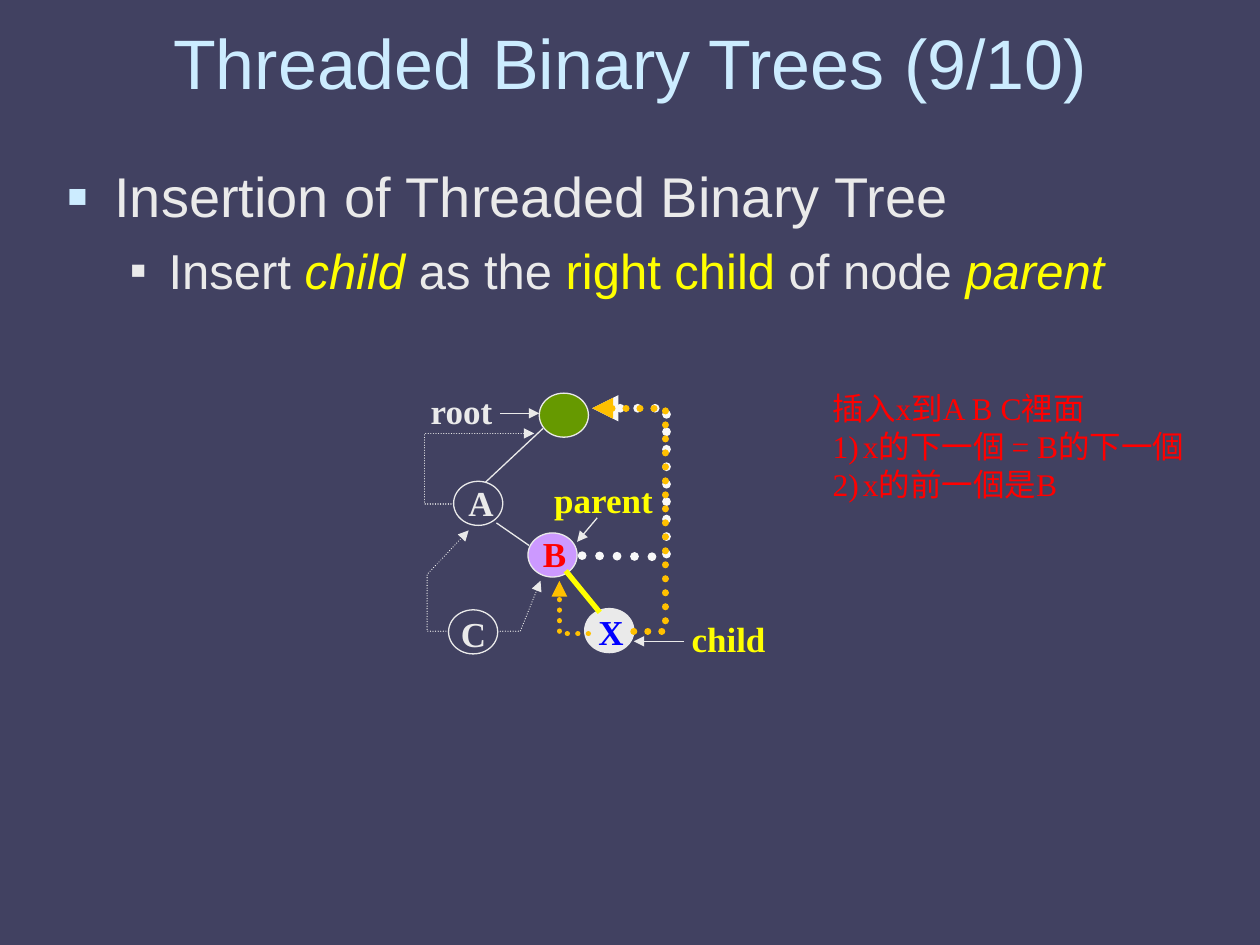
from lxml import etree
from pptx import Presentation
from pptx.dml.color import RGBColor
from pptx.enum.shapes import MSO_CONNECTOR as CONN, MSO_SHAPE as SHAPE
from pptx.enum.text import MSO_ANCHOR as ANCHOR, PP_ALIGN as ALIGN
from pptx.oxml.ns import qn
from pptx.util import Inches, Pt

LIGHT, YELLOW, ORANGE, RED = "EAEAEA", "FFFF00", "FFC000", "FF0000"
SERIF = "Times New Roman"
rgb = RGBColor.from_string


def style_line(sp, color, width, arrow=False, dotted=False):
    sp.line.color.rgb = rgb(color)
    sp.line.width = Pt(width)
    ln = sp.line._get_or_add_ln()
    if dotted:
        ln.set("cap", "rnd")
        etree.SubElement(ln, qn("a:prstDash"), val="sysDot")
        etree.SubElement(ln, qn("a:round"))
    if arrow:
        etree.SubElement(ln, qn("a:tailEnd"), type="triangle")


def style_run(r, size, color, name="Arial", bold=False, italic=False):
    r.font.size, r.font.name = Pt(size), name
    r.font.bold, r.font.italic = bold, italic
    r.font.color.rgb = rgb(color)


prs = Presentation()
prs.slide_width, prs.slide_height = Inches(10), Inches(7.5)
slide = prs.slides.add_slide(prs.slide_layouts[5])
slide.background.fill.solid()
slide.background.fill.fore_color.rgb = rgb("414161")
shapes = slide.shapes

# Title
title = shapes.title
title.left, title.top = Inches(0.5), Inches(0.13)
title.width, title.height = Inches(9), Inches(0.71)
tf = title.text_frame
tf.text = "Threaded Binary Trees (9/10)"
tf.vertical_anchor = ANCHOR.MIDDLE
tf.paragraphs[0].alignment = ALIGN.CENTER
style_run(tf.paragraphs[0].runs[0], 40, "CCECFF")

# Bulleted text: size, space before, margin, hanging, bullet colour, bullet %, runs
bullets = [
    (32, 8, 0.38, 0.38, "CCECFF", 115,
     [("Insertion of Threaded Binary Tree", LIGHT, False)]),
    (28, 7, 0.81, 0.31, LIGHT, 100,
     [("Insert ", LIGHT, False), ("child ", YELLOW, True),
      ("as the ", LIGHT, False), ("right child ", YELLOW, False),
      ("of node ", LIGHT, False), ("parent", YELLOW, True)]),
]
body = shapes.add_textbox(Inches(0.43), Inches(1.23), Inches(8.98), Inches(1.42))
tf = body.text_frame
tf.word_wrap = True
for i, (size, before, margin, hang, color, percent, runs) in enumerate(bullets):
    p = tf.add_paragraph() if i else tf.paragraphs[0]
    p.space_before = Pt(before)
    p.level = i
    pPr = p._p.get_or_add_pPr()
    pPr.set("marL", str(Inches(margin)))
    pPr.set("indent", str(-Inches(hang)))
    bu_clr = etree.SubElement(pPr, qn("a:buClr"))
    etree.SubElement(bu_clr, qn("a:srgbClr"), val=color)
    etree.SubElement(pPr, qn("a:buSzPct"), val=str(percent * 1000))
    etree.SubElement(pPr, qn("a:buFont"), typeface="Arial")
    etree.SubElement(pPr, qn("a:buChar"), char="▪")
    for text, run_color, italic in runs:
        r = p.add_run()
        r.text = text
        style_run(r, size, run_color, italic=italic)

# Tree nodes: left, top, fill
nodes = [
    (4.64, 4.83, LIGHT),     # X
    (4.28, 3.12, "669900"),  # root
    (3.6, 3.82, None),       # A
    (4.19, 4.23, "CC99FF"),  # B
    (3.56, 4.84, None),      # C
]
for x, y, fill in nodes:
    sp = shapes.add_shape(SHAPE.OVAL, Inches(x), Inches(y), Inches(0.39), Inches(0.35))
    sp.shadow.inherit = False
    if fill:
        sp.fill.solid()
        sp.fill.fore_color.rgb = rgb(fill)
    else:
        sp.fill.background()
    style_line(sp, LIGHT, 0.75)

# Tree edges and pointer arrows: from, to, colour, width, arrow
edges = [
    (4.31, 3.4, 3.85, 3.83, LIGHT, 0.75, False),   # root to A
    (3.94, 4.15, 4.2, 4.33, LIGHT, 0.75, False),   # A to B
    (4.49, 4.53, 4.76, 4.86, YELLOW, 3, False),    # B to X
    (3.97, 3.28, 4.28, 3.28, LIGHT, 0.75, True),   # root label
    (4.74, 4.11, 4.58, 4.3, LIGHT, 0.75, True),    # parent label
    (5.43, 5.09, 5.03, 5.09, LIGHT, 0.75, True),   # child label
]
for x1, y1, x2, y2, color, width, arrow in edges:
    line = shapes.add_connector(CONN.STRAIGHT, Inches(x1), Inches(y1), Inches(x2), Inches(y2))
    style_line(line, color, width, arrow)
    etree.SubElement(line._element.spPr, qn("a:effectLst"))

# Labels: text, left, top, width, colour
labels = [
    ("X", 4.65, 4.8, 0.4, "0000FF"),
    ("A", 3.62, 3.77, 0.4, LIGHT),
    ("B", 4.21, 4.18, 0.38, RED),
    ("C", 3.56, 4.81, 0.4, LIGHT),
    ("root", 3.32, 3.04, 0.69, LIGHT),
    ("child", 5.39, 4.85, 0.79, YELLOW),
    ("parent", 4.3, 3.75, 0.99, YELLOW),
]
for text, x, y, w, color in labels:
    label = shapes.add_textbox(Inches(x), Inches(y), Inches(w), Inches(0.44))
    tf = label.text_frame
    tf.word_wrap = False
    tf.text = text
    style_run(tf.paragraphs[0].runs[0], 20, color, SERIF, bold=True)

# Threads: colour, width, points
threads = [
    (LIGHT, 0.75, [(3.6, 4), (3.37, 4), (3.37, 3.44), (4.24, 3.44)]),
    (LIGHT, 0.75, [(3.95, 5.01), (4.13, 5.01), (4.29, 4.61)]),
    (LIGHT, 0.75, [(3.56, 5.01), (3.39, 5.01), (3.39, 4.56), (3.72, 4.21)]),
    (ORANGE, 3, [(4.67, 5.03), (4.44, 5.03), (4.44, 4.61)]),
    ("F8F8F8", 5, [(4.62, 4.41), (5.29, 4.42), (5.29, 3.24), (4.7, 3.24)]),
    (ORANGE, 4, [(5.03, 5.01), (5.28, 5.01), (5.28, 3.24), (4.7, 3.24)]),
]
for color, width, points in threads:
    start, *rest = [(Inches(x), Inches(y)) for x, y in points]
    builder = shapes.build_freeform(*start)
    builder.add_line_segments(rest, close=False)
    sp = builder.convert_to_shape()
    sp.shadow.inherit = False
    sp.fill.background()
    style_line(sp, color, width, arrow=True, dotted=True)

# Insertion steps
steps = ["插入x到A B C裡面", "x的下一個 = B的下一個", "x的前一個是B"]
note = shapes.add_textbox(Inches(6.51), Inches(3.04), Inches(3), Inches(1))
tf = note.text_frame
tf.word_wrap = True
for i, step in enumerate(steps):
    p = tf.add_paragraph() if i else tf.paragraphs[0]
    p.text = step
    style_run(p.runs[0], 18, RED, SERIF)
    if i:
        pPr = p._p.get_or_add_pPr()
        pPr.set("marL", str(Inches(0.24)))
        pPr.set("indent", str(-Inches(0.24)))
        etree.SubElement(pPr, qn("a:buFont"), typeface=SERIF)
        etree.SubElement(pPr, qn("a:buAutoNum"), type="arabicParenR")

prs.save("out.pptx")
